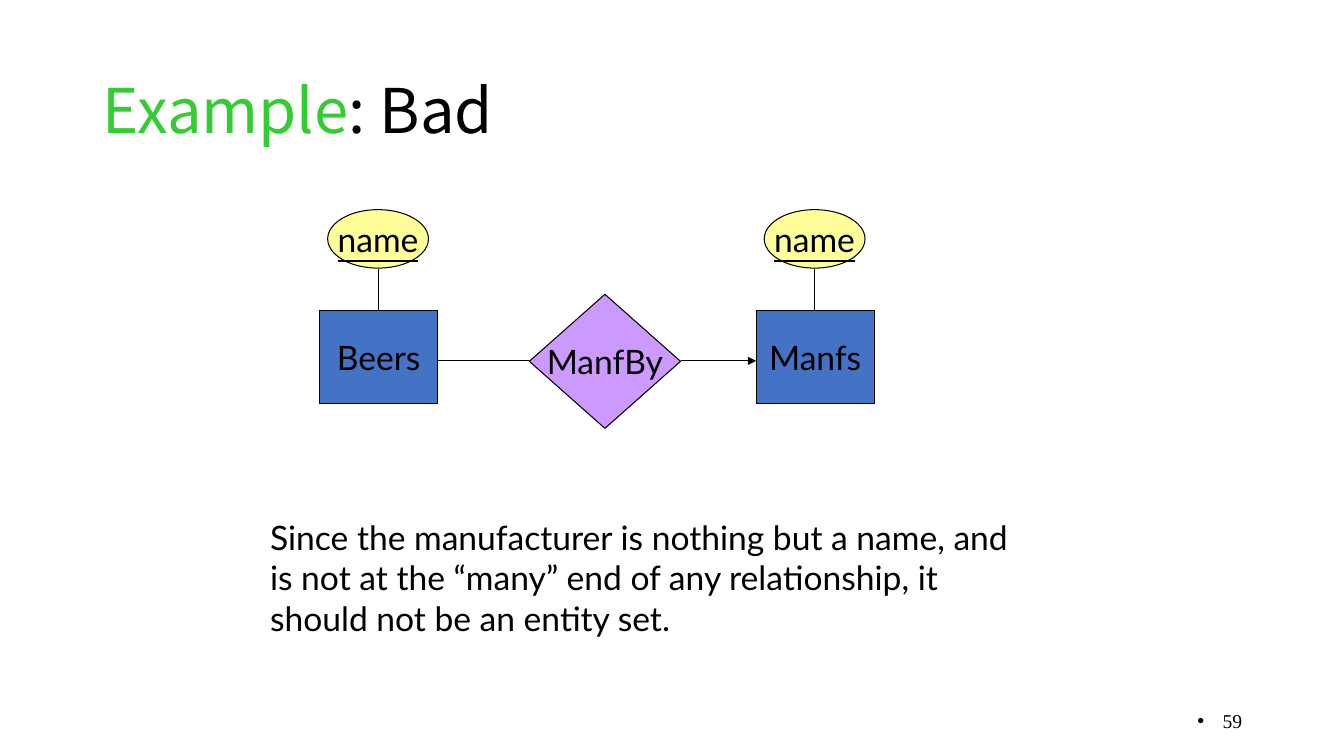
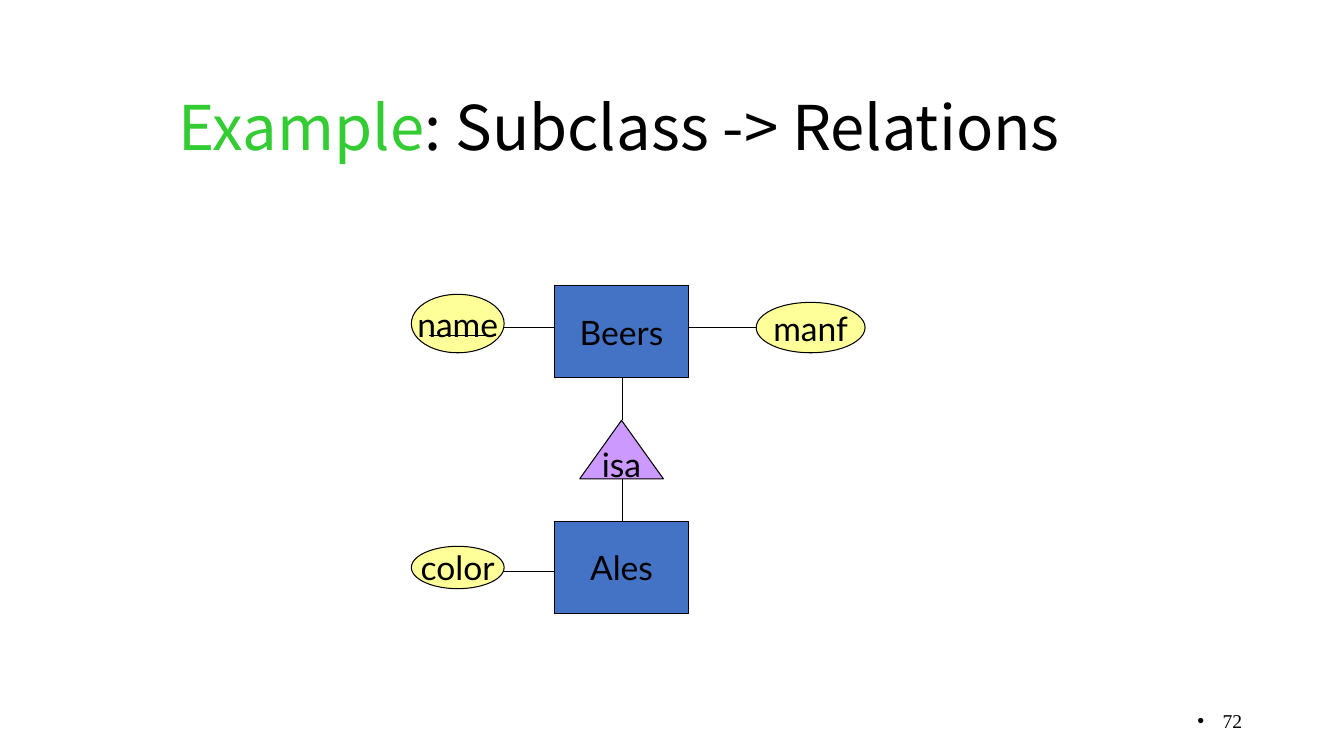
"""Build two entity-relationship example slides."""
import pptx
import pptx.dml.color
import pptx.enum.shapes
import pptx.enum.text
import pptx.oxml
import pptx.oxml.ns
import pptx.util

Inches = pptx.util.Inches
Shape = pptx.enum.shapes.MSO_SHAPE
Align = pptx.enum.text.PP_ALIGN
Anchor = pptx.enum.text.MSO_ANCHOR

COLORS = {"ink": "000000", "accent": "33CC33", "entity": "4472C4",
          "relation": "CC99FF", "attribute": "FFFF99"}
TITLE_FONT, BODY_FONT, NUMBER_FONT = "Noto Sans CJK SC", "Lato", "Times New Roman"
KINDS = {
    "entity": (Shape.RECTANGLE, "entity"),
    "relationship": (Shape.DIAMOND, "relation"),
    "subclass": (Shape.ISOSCELES_TRIANGLE, "relation"),
    "attribute": (Shape.OVAL, "attribute"),
    "key": (Shape.OVAL, "attribute"),
}
NUMBER_AREA = (9.42, 6.95, 3, 0.4)

SLIDES = [
    {
        "title": ": Bad",
        "title_area": (0.92, 0.4, 11.5, 1.45),
        "number": "59",
        "nodes": [
            ("entity", "Beers", (3.17, 3.08, 1.17, 0.92)),
            ("entity", "Manfs", (7.5, 3.08, 1.17, 0.92)),
            ("relationship", "ManfBy", (5.25, 2.92, 1.5, 1.33)),
            ("key", "name", (3.25, 2.08, 1, 0.58)),
            ("key", "name", (7.58, 2.08, 1, 0.58)),
        ],
        "lines": [(5.25, 3.58, 4.33, 3.58), (3.75, 2.67, 3.75, 3.08),
                  (8.08, 2.67, 8.08, 3.08)],
        "arrows": [(6.75, 3.58, 7.5, 3.58)],
        "notes": [("Since the manufacturer is nothing but a name, and is not at the “many” "
                   "end of any relationship, it should not be an entity set.",
                   (2.58, 5.08, 7.52, 1.31))],
    },
    {
        "title": ": Subclass -> Relations",
        "title_area": (1.67, 0.67, 10, 1.25),
        "number": "72",
        "nodes": [
            ("entity", "Beers", (5.5, 2.83, 1.33, 0.92)),
            ("entity", "Ales", (5.5, 5.17, 1.33, 0.92)),
            ("subclass", "isa", (5.75, 4.17, 0.83, 0.58)),
            ("attribute", "name", (4.08, 2.92, 0.92, 0.58)),
            ("attribute", "manf", (7.5, 3, 1.08, 0.5)),
            ("attribute", "color", (4.08, 5.42, 0.92, 0.42)),
        ],
        "lines": [(4.25, 3.33, 4.92, 3.33), (5, 3.25, 5.5, 3.25), (7.5, 3.25, 6.83, 3.25),
                  (6.17, 4.17, 6.17, 3.75), (6.17, 4.75, 6.17, 5.17),
                  (5, 5.67, 5.5, 5.67)],
        "arrows": [],
        "notes": [],
    },
]


def color(name):
    """Return the named colour."""
    return pptx.dml.color.RGBColor.from_string(COLORS[name])


def add_element(parent, tag, **attributes):
    """Append a DrawingML element with the given attributes."""
    element = pptx.oxml.parse_xml(f"<a:{tag} {pptx.oxml.ns.nsdecls('a')}/>")
    for key, value in attributes.items():
        element.set(key, value)
    parent.append(element)


def add_span(para, text, font=BODY_FONT, size=24, ink="ink", underline=None):
    """Add a formatted run to a paragraph."""
    span = para.add_run()
    span.text = text
    span.font.name = font
    span.font.size = pptx.util.Pt(size)
    span.font.color.rgb = color(ink)
    span.font.underline = underline


def prepare(box, align=Align.LEFT, anchor=Anchor.MIDDLE, wrap=True):
    """Set the text layout of a shape and return its first paragraph."""
    frame = box.text_frame
    frame.word_wrap = wrap
    frame.vertical_anchor = anchor
    para = frame.paragraphs[0]
    para.alignment = align
    return para


def add_title(page, text, area):
    """Place and fill the title placeholder."""
    title = page.shapes.title
    title.left, title.top, title.width, title.height = map(Inches, area)
    para = prepare(title)
    para.line_spacing = 0.9
    add_span(para, "Example", font=TITLE_FONT, size=44, ink="accent")
    add_span(para, text, font=TITLE_FONT, size=44)


def add_number(page, text):
    """Add the bulleted page number."""
    box = page.shapes.add_textbox(*map(Inches, NUMBER_AREA))
    para = prepare(box, align=Align.RIGHT)
    properties = para._p.get_or_add_pPr()
    properties.set("marL", str(Inches(0.25)))
    properties.set("indent", str(-Inches(0.25)))
    add_element(properties, "buFont", typeface="Arial")
    add_element(properties, "buChar", char="•")
    add_span(para, text, font=NUMBER_FONT, size=14)


def add_node(page, kind, text, area):
    """Add one labelled diagram shape."""
    geometry, fill = KINDS[kind]
    node = page.shapes.add_shape(geometry, *map(Inches, area))
    node.shadow.inherit = False
    node.fill.solid()
    node.fill.fore_color.rgb = color(fill)
    node.line.color.rgb = color("ink")
    node.line.width = pptx.util.Pt(0.75)
    para = prepare(node, align=Align.CENTER, wrap=False)
    add_span(para, text, underline=kind == "key" or None)


def add_line(page, ends, arrow=False):
    """Add a straight connector, with an arrowhead if asked."""
    line = page.shapes.add_connector(pptx.enum.shapes.MSO_CONNECTOR.STRAIGHT,
                                     *map(Inches, ends))
    line.line.color.rgb = color("ink")
    line.line.width = pptx.util.Pt(0.75)
    if arrow:
        add_element(line.line._get_or_add_ln(), "tailEnd", type="triangle")
    add_element(line._element.spPr, "effectLst")


def add_note(page, text, area):
    """Add explanatory text that grows with its content."""
    box = page.shapes.add_textbox(*map(Inches, area))
    add_span(prepare(box, anchor=Anchor.TOP), text)
    box.text_frame.auto_size = pptx.enum.text.MSO_AUTO_SIZE.SHAPE_TO_FIT_TEXT


def main():
    """Build and save the deck."""
    deck = pptx.Presentation()
    deck.slide_width, deck.slide_height = Inches(13.33), Inches(7.5)
    for content in SLIDES:
        page = deck.slides.add_slide(deck.slide_layouts.get_by_name("Title Only"))
        add_title(page, content["title"], content["title_area"])
        add_number(page, content["number"])
        for node in content["nodes"]:
            add_node(page, *node)
        for ends in content["lines"]:
            add_line(page, ends)
        for ends in content["arrows"]:
            add_line(page, ends, arrow=True)
        for note in content["notes"]:
            add_note(page, *note)
    deck.save("out.pptx")


if __name__ == "__main__":
    main()
